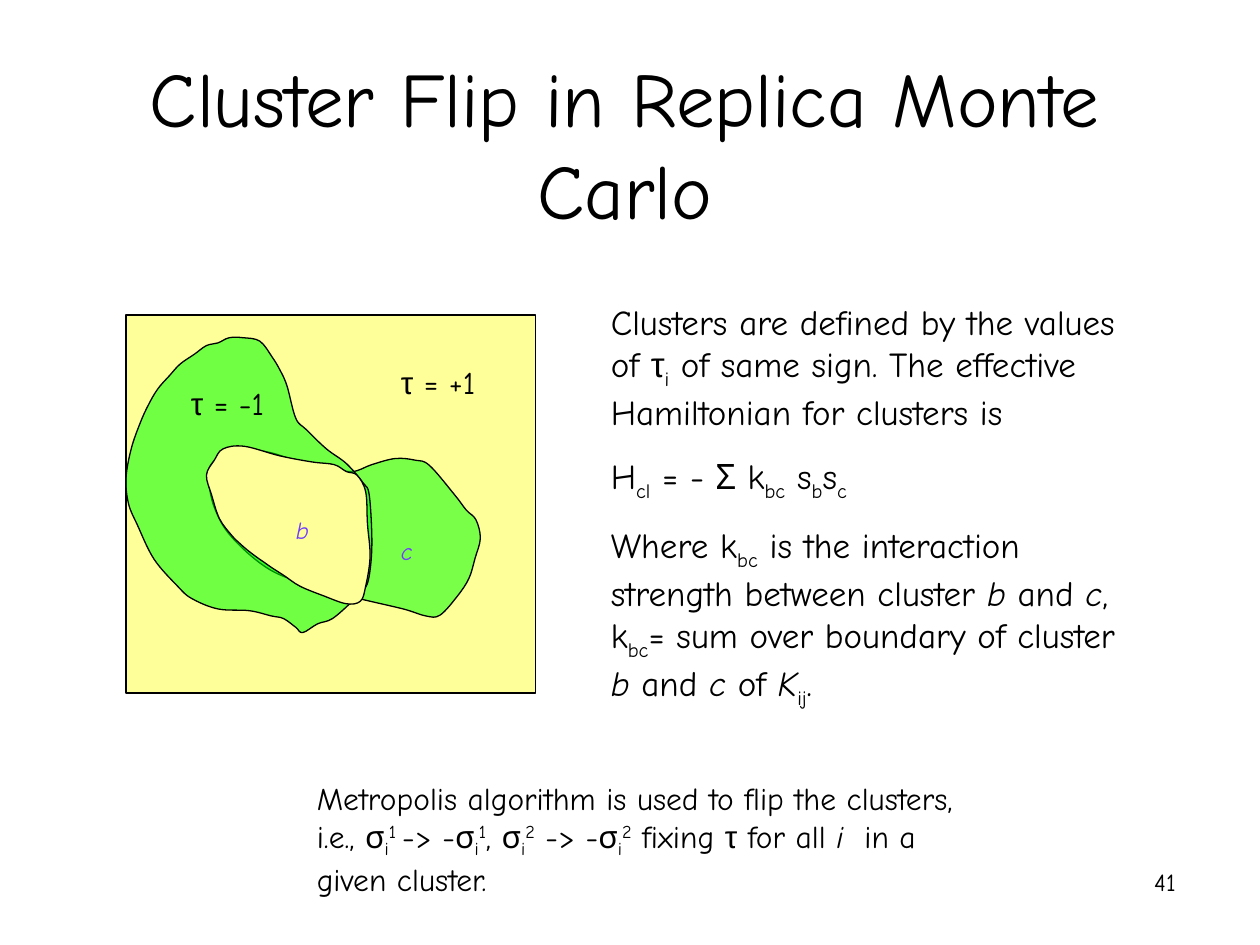
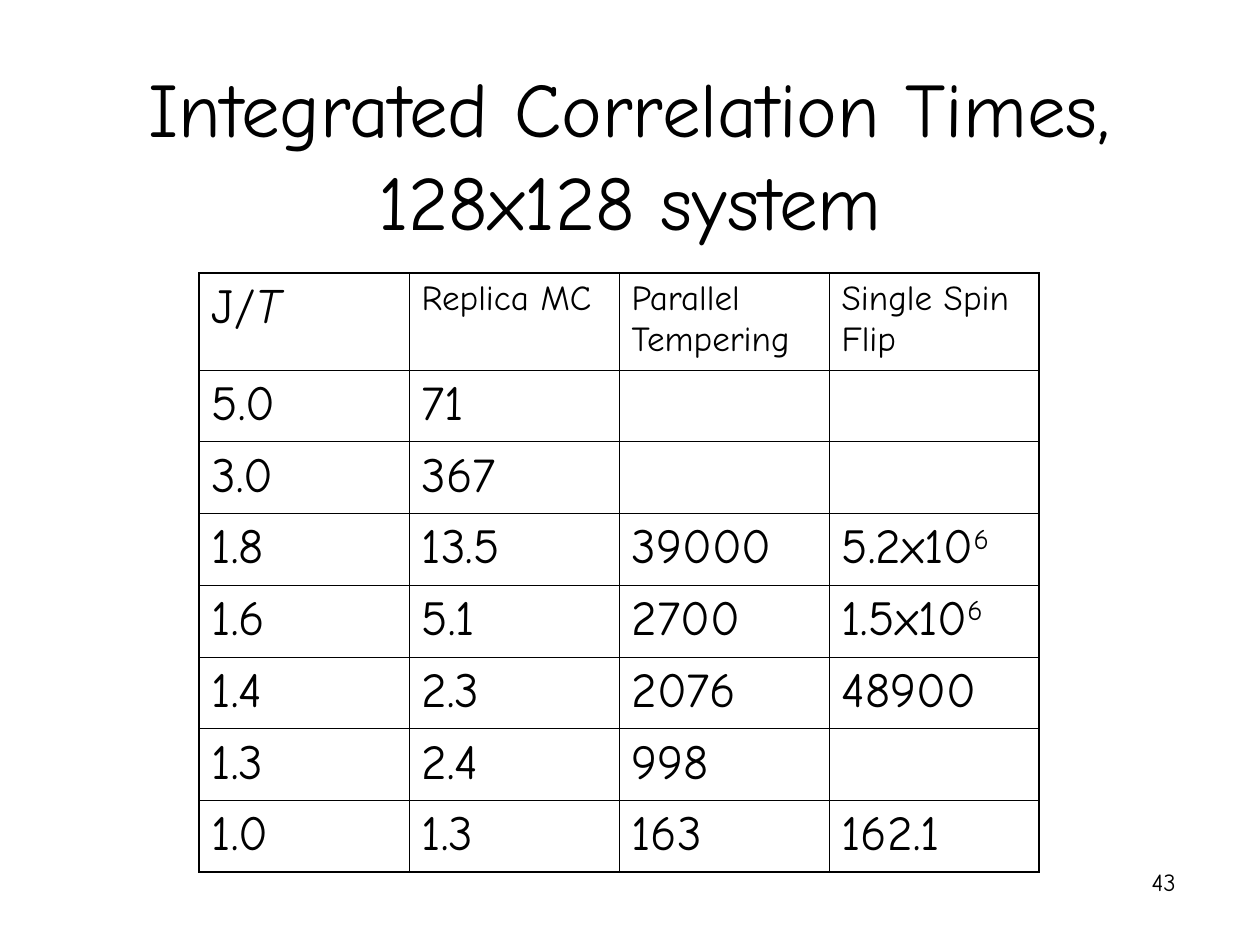
from lxml import etree
from pptx import Presentation
from pptx.dml.color import RGBColor
from pptx.enum import shapes, text
from pptx.oxml import ns
from pptx.util import Pt

COLORS = {"ink": "000000", "plus": "FFFF99", "minus": "00FF00", "label": "703DFF"}
FONT, GREEK_FONT = "Comic Neue", "Arial"
MARGINS = {"margin_left": Pt(7.2), "margin_right": Pt(7.2),
           "margin_top": Pt(3.6), "margin_bottom": Pt(3.6)}
BASELINES = {"sub": -25000, "sup": 30000}

# Slide content: a run is a string or a (text, style) pair
FLIP = {"title": "Cluster Flip in Replica Monte Carlo", "title_box": (54, 12, 606, 126), "number": "41"}
TIMES = {"title": "Integrated Correlation Times, 128x128 system",
         "title_box": (36, 12, 648, 132), "number": "43"}

DEFINITION = [
    ["Clusters are defined by the values of ", ("τ", "greek"), ("i", "sub"),
     " of same sign. The effective Hamiltonian for clusters is"],
    ["H", ("cl", "sub"), " = - Σ k", ("bc", "sub"), " s", ("b", "sub"), "s", ("c", "sub")],
    ["Where k", ("bc", "sub"), " is the interaction strength between cluster ", ("b", "italic"),
     " and ", ("c", "italic"), ", k", ("bc", "sub"), "= sum over boundary of cluster ",
     ("b", "italic"), " and ", ("c", "italic"), " of ", ("K", "italic"), ("ij", "sub"), "."],
]
ALGORITHM = [
    ["Metropolis algorithm is used to flip the clusters, i.e., σ", ("i", "sub"), ("1 ", "sup"),
     "-> -σ", ("i", "sub"), ("1", "sup"), ", σ", ("i", "sub"), ("2", "sup"),
     " -> -σ", ("i", "sub"), ("2", "sup"), " fixing ", ("τ", "greek"), " for all ",
     ("i ", "italic"), " in a given cluster."],
]
# (box, paragraphs, size, colour)
FLIP_TEXTS = [
    ((222, 204, 60, 29), [[("τ", "greek"), " = +1"]], 18, "ink"),
    ((102, 216, 60, 29), [[("τ", "greek"), " = -1"]], 18, "ink"),
    ((342, 168.25, 318, 241), DEFINITION, 20, "ink"),
    ((162, 288, 24, 36), [[("b", "italic sup")]], 24, "label"),
    ((222, 300, 24, 36), [[("c", "italic sup")]], 24, "label"),
    ((174, 441.5, 396, 75), ALGORITHM, 18, "ink"),
]
LATTICE_BOX = (72, 180, 234, 216)
NUMBER_BOX = (529, 492, 150, 36)

# Cluster outlines: points on a closed smooth curve
CLUSTER_C = [
    (119, 273), (122.5, 290), (132.5, 307), (155, 326), (183, 336), (205, 342), (230.5, 348),
    (243.5, 352), (251.5, 351.5), (261.5, 340.5), (268, 330.5), (271.5, 319), (274.5, 307.5),
    (272, 297), (266.5, 291.5), (260, 283), (245.5, 266), (237.5, 263), (226, 262),
    (212.5, 265.5), (201, 269.5), (186, 266.5), (169, 263), (154, 258.5), (139, 256.5),
    (127.5, 257), (124, 261.5), (120, 266.5),
]
CLUSTER_RING = [
    (124.5, 196), (118, 197.5), (111, 202.5), (103, 208), (97, 214.5), (90, 222.5), (84.5, 232),
    (80, 242), (75, 256.5), (72, 273.5), (73.5, 288), (78.5, 300), (88, 319.5), (101.5, 335),
    (109.5, 342), (124.5, 348), (142.5, 349), (155, 352), (162, 353.5), (169, 358.5),
    (173, 361.5), (181.5, 356.5), (190, 353.5), (201.5, 343.5), (208, 337), (211, 329),
    (212.5, 310), (211, 283), (207.5, 276), (198, 265), (186.5, 256.5), (175, 245.5),
    (169, 239), (164, 220.5), (160, 211.5), (155.5, 204), (148.5, 195), (139, 193), (131, 193),
]
CLUSTER_B = [
    (127.5, 256.5), (122.5, 263), (118, 271.5), (121, 283), (125.5, 296.5), (132.5, 306),
    (137, 310.5), (141, 314), (145.5, 317.5), (150.5, 321), (155.5, 324.5), (162.5, 329),
    (171.5, 335), (185, 340.5), (198, 345), (206, 343.5), (209, 335), (211.5, 318), (210, 299),
    (209, 281), (204, 271.5), (198, 269.5), (191, 265.5), (178.5, 264), (160, 260.5),
    (139.5, 255),
]
# (outline, colour, opacity in percent)
CLUSTERS = [(CLUSTER_C, "minus", 52), (CLUSTER_RING, "minus", 56), (CLUSTER_B, "plus", 100)]

HEADER = [["J/", ("T", "italic")], ["Replica MC"], ["Parallel Tempering"], ["Single Spin Flip"]]
HEADER_SIZES = [28, 20, 20, 20]
ROWS = [
    [["5.0"], ["71"], [], []],
    [["3.0"], ["367"], [], []],
    [["1.8"], ["13.5"], ["39000"], ["5.2x10", ("6", "sup")]],
    [["1.6"], ["5.1"], ["2700"], ["1.5x10", ("6", "sup")]],
    [["1.4"], ["2.3"], ["2076"], ["48900"]],
    [["1.3"], ["2.4"], ["998"], []],
    [["1.0"], ["1.3"], ["163"], ["162.1"]],
]
TABLE_LEFT, TABLE_TOP, COL_WIDTH = 113.75, 156, 120
HEADER_HEIGHT, ROW_HEIGHT, CELL_SIZE = 55.5, 41, 28
OUTER, INNER = 1.08, 0.45


def color(name):
    return RGBColor.from_string(COLORS[name])


def pts(values):
    return [Pt(v) for v in values]


def set_all(obj, values):
    for name, value in values.items():
        setattr(obj, name, value)


def write(p, runs, size, ink="ink"):
    for run in runs:
        words, style = (run, "") if isinstance(run, str) else run
        r = p.add_run()
        r.text = words
        set_all(r.font, {"name": GREEK_FONT if "greek" in style else FONT,
                         "size": Pt(size), "italic": "italic" in style})
        r.font.color.rgb = color(ink)
        for key, shift in BASELINES.items():
            if key in style:
                r.font._element.set("baseline", str(shift))


def add_text(s, box, paragraphs, size, ink="ink", align=text.PP_ALIGN.LEFT):
    tf = s.shapes.add_textbox(*pts(box)).text_frame
    set_all(tf, {"word_wrap": True, **MARGINS})
    for i, runs in enumerate(paragraphs):
        p = tf.add_paragraph() if i else tf.paragraphs[0]
        p.alignment = align
        if i:
            p.space_before = Pt(size * 0.625)
        write(p, runs, size, ink)


def add_slide(prs, content):
    """Add a slide with the shared title style and slide number."""
    s = prs.slides.add_slide(prs.slide_layouts[5])
    title = s.shapes.title
    set_all(title, dict(zip(("left", "top", "width", "height"), pts(content["title_box"]))))
    tf = title.text_frame
    set_all(tf, {"word_wrap": True, "auto_size": text.MSO_AUTO_SIZE.NONE,
                 "vertical_anchor": text.MSO_ANCHOR.BOTTOM, **MARGINS})
    p = tf.paragraphs[0]
    p.alignment = text.PP_ALIGN.CENTER
    write(p, [content["title"]], 44)
    return s


def add_number(s, content):
    add_text(s, NUMBER_BOX, [[content["number"]]], 14, align=text.PP_ALIGN.RIGHT)


def paint(sp, fill, opacity=100):
    sp.shadow.inherit = False
    sp.fill.solid()
    sp.fill.fore_color.rgb = color(fill)
    sp.line.color.rgb = color("ink")
    sp.line.width = Pt(0.75)
    if opacity < 100:
        rgb = sp._element.spPr.find(ns.qn("a:solidFill")).find(ns.qn("a:srgbClr"))
        etree.SubElement(rgb, ns.qn("a:alpha"), val=str(opacity * 1000))


def round_off(sp, knots):
    """Turn the straight sides of a closed freeform into Catmull-Rom curves."""
    left, top = (min(axis) for axis in zip(*knots))
    n = len(knots)
    for i, side in enumerate(list(sp._element.iter(ns.qn("a:lnTo")))):
        a, b, c, d = (knots[(i + k) % n] for k in (-1, 0, 1, 2))
        leave = [q + (r - o) / 6 for o, q, r in zip(a, b, c)]
        arrive = [r - (z - q) / 6 for q, r, z in zip(b, c, d)]
        side.tag = ns.qn("a:cubicBezTo")
        for k, (x, y) in enumerate((leave, arrive)):
            pt = etree.Element(ns.qn("a:pt"), x=str(Pt(x - left)), y=str(Pt(y - top)))
            side.insert(k, pt)


def add_clusters(s):
    paint(s.shapes.add_shape(shapes.MSO_SHAPE.RECTANGLE, *pts(LATTICE_BOX)), "plus")
    for knots, fill, opacity in CLUSTERS:
        corners = [pts(knot) for knot in knots]
        builder = s.shapes.build_freeform(*corners[0])
        builder.add_line_segments(corners[1:] + corners[:1], close=True)
        sp = builder.convert_to_shape()
        round_off(sp, knots)
        paint(sp, fill, opacity)


def set_borders(cell, widths):
    """Draw the cell's edges; widths maps L, R, T, B to points."""
    tcPr = cell._tc.get_or_add_tcPr()
    for i, (side, width) in enumerate(widths.items()):
        ln = etree.Element(ns.qn(f"a:ln{side}"), w=str(Pt(width)))
        fill = etree.SubElement(ln, ns.qn("a:solidFill"))
        etree.SubElement(fill, ns.qn("a:srgbClr"), val=COLORS["ink"])
        tcPr.insert(i, ln)


def add_times_table(s):
    grid = [HEADER] + ROWS
    n_rows, n_cols = len(grid), len(HEADER)
    height = HEADER_HEIGHT + ROW_HEIGHT * len(ROWS)
    box = pts((TABLE_LEFT, TABLE_TOP, COL_WIDTH * n_cols, height))
    table = s.shapes.add_table(n_rows, n_cols, *box).table
    set_all(table, {"first_row": False, "horz_banding": False})
    for col in table.columns:
        col.width = Pt(COL_WIDTH)
    for i, row in enumerate(grid):
        table.rows[i].height = Pt(ROW_HEIGHT if i else HEADER_HEIGHT)
        for j, runs in enumerate(row):
            cell = table.cell(i, j)
            set_all(cell, MARGINS)
            cell.fill.background()
            write(cell.text_frame.paragraphs[0], runs, CELL_SIZE if i else HEADER_SIZES[j])
            edges = {"L": j == 0, "R": j == n_cols - 1, "T": i == 0, "B": i == n_rows - 1}
            set_borders(cell, {k: OUTER if out else INNER for k, out in edges.items()})


def main():
    prs = Presentation()
    set_all(prs, {"slide_width": Pt(720), "slide_height": Pt(540)})

    s = add_slide(prs, FLIP)
    add_clusters(s)
    for box, paragraphs, size, ink in FLIP_TEXTS:
        add_text(s, box, paragraphs, size, ink)
    add_number(s, FLIP)

    s = add_slide(prs, TIMES)
    add_times_table(s)
    add_number(s, TIMES)
    prs.save("out.pptx")


if __name__ == "__main__":
    main()
